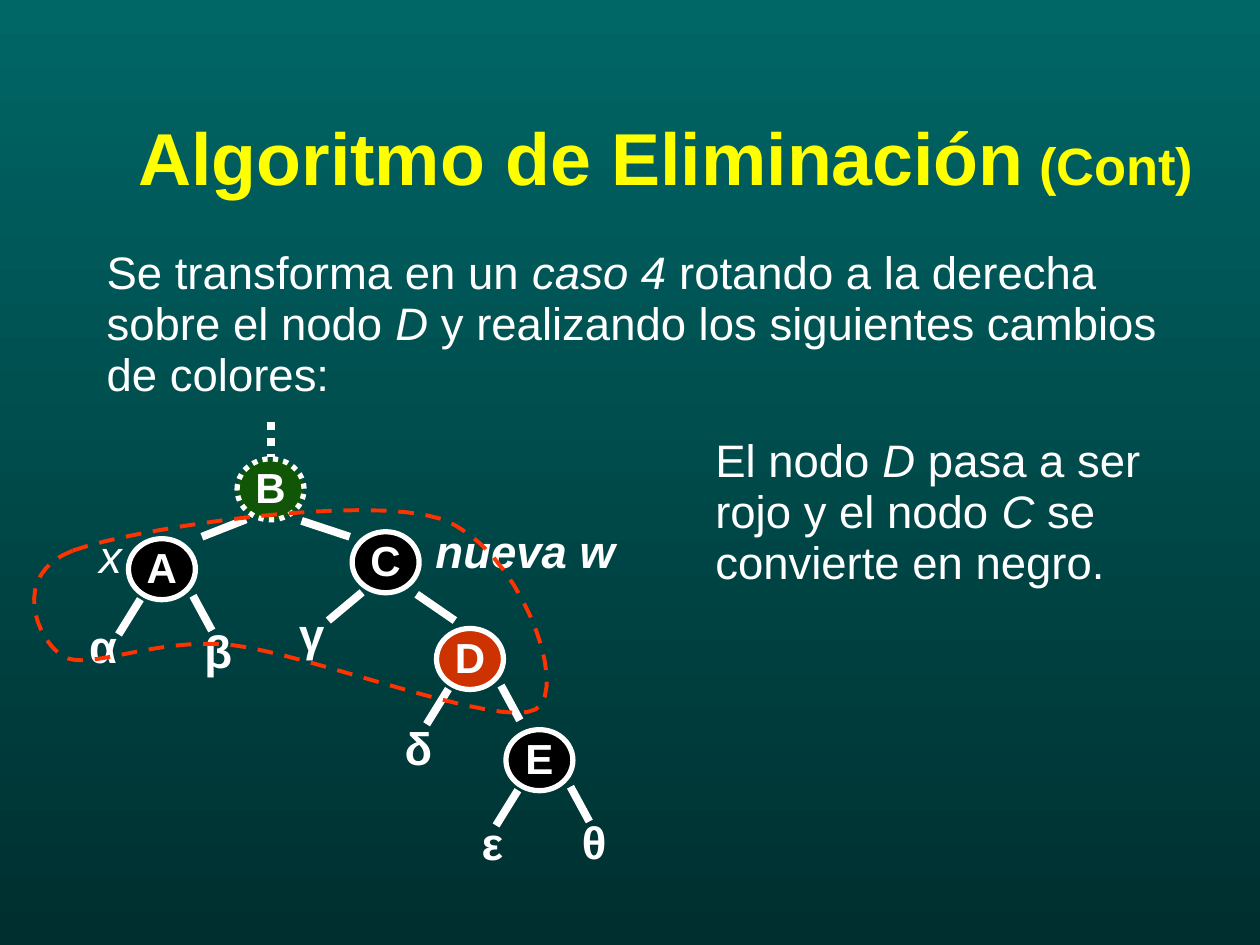
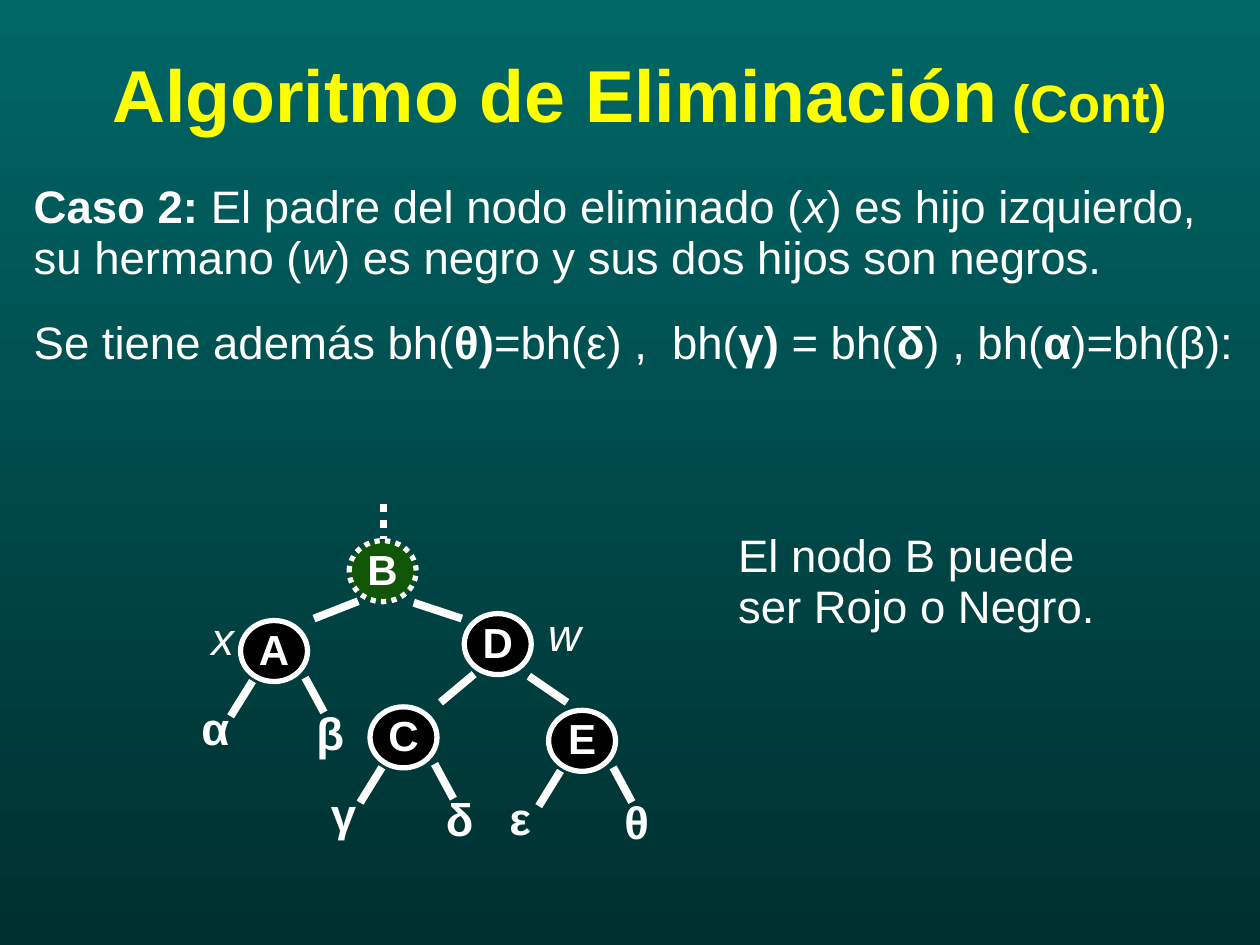
from dataclasses import dataclass

from lxml import etree
from pptx import Presentation
from pptx.dml.color import RGBColor
from pptx.enum import dml, shapes, text
from pptx.oxml.ns import qn
from pptx.util import Cm, Pt


@dataclass(frozen=True)
class Theme:
    font: str = "Arial"
    title: str = "FFFF00"
    ink: str = "FFFFFF"
    top: str = "006666"
    bottom: str = "002F2F"
    black: str = "000000"
    red: str = "CC3300"
    either: str = "115606"
    outline: str = "FF3300"
    title_size: int = 42
    suffix_size: int = 30
    body_size: int = 26
    node_size: int = 24


THEME = Theme()


@dataclass(frozen=True)
class Leaf:
    name: str
    nudge: tuple = (0, 0)


@dataclass(frozen=True)
class Node:
    name: str
    span: str
    left: object
    right: object
    fill: str = THEME.black


TITLE = [("Algoritmo de Eliminación", THEME.title_size), (" (Cont)", THEME.suffix_size)]

# Text runs are (text, style): "b" bold, "i" italic. Boxes are left, top, width, height in cm.
SLIDES = [
    dict(
        title_box=(2.54, 1.7, 22.23, 3.18), title_inset=0.25,
        body_box=(1.9, 4.9, 22.43, 3.33),
        body=[[("Se transforma en un ", ""), ("caso 4", "i"),
               (" rotando a la derecha sobre el nodo ", ""), ("D", "i"),
               (" y realizando los siguientes cambios de colores:", "")]],
        note_box=(14.17, 8.69, 9.1, 3.33), note_inset=0.25,
        note=[("El nodo ", ""), ("D", "i"), (" pasa a ser rojo y el nodo ", ""),
              ("C", "i"), (" se convierte en negro.", "")],
        root=(4.78, 9.25),
        tree=Node("B", "wide",
                  Node("A", "narrow", Leaf("α"), Leaf("β")),
                  Node("C", "medium", Leaf("γ"),
                       Node("D", "narrow", Leaf("δ", (0.15, 0.25)),
                            Node("E", "narrow", Leaf("ε", (0.3, 0.12)), Leaf("θ")),
                            THEME.red)),
                  THEME.either),
        labels=[("x", "i", 1.75, 10.62), ("nueva w", "bi", 8.53, 10.52)],
        # Start point, then cubic curves (control, control, end)
        region=[(1.47, 11.1),
                [(2.74, 10.64), (7.34, 9.96), (8.89, 10.46)],
                [(10.44, 11), (11.51, 13.87), (10.8, 14.3)],
                [(10.08, 14.71), (6.25, 13.18), (4.65, 13)],
                [(3.07, 12.85), (1.8, 13.54), (1.27, 13.23)],
                [(0.74, 12.9), (0.2, 11.58), (1.47, 11.1)]],
    ),
    dict(
        title_box=(2.26, 0.43, 22.07, 3.18), title_inset=0,
        body_box=(0.43, 3.56, 24.77, 4.01),
        body=[[("Caso 2:", "b"), (" El padre del nodo eliminado (", ""), ("x", "i"),
               (") es hijo izquierdo, su hermano (", ""), ("w", "i"),
               (") es negro y sus dos hijos son negros.", "")],
              [("Se tiene además bh(", ""), ("θ)", "b"), ("=bh(ε) ,  bh(", ""),
               ("γ)", "b"), (" = bh(", ""), ("δ", "b"), (") , bh(", ""),
               ("α", "b"), (")=bh(β):", "")]],
        note_box=(14.88, 10.72, 8.2, 2.06), note_inset=0,
        note=[("El nodo B puede ser Rojo o Negro.", "")],
        root=(7.04, 10.9),
        tree=Node("B", "wide",
                  Node("A", "narrow", Leaf("α"), Leaf("β")),
                  Node("D", "medium",
                       Node("C", "narrow", Leaf("γ"), Leaf("δ")),
                       Node("E", "narrow", Leaf("ε"), Leaf("θ"))),
                  THEME.either),
        labels=[("x", "i", 4.01, 12.27), ("w", "i", 10.8, 12.19)],
        region=None,
    ),
]

# Offsets in cm from a node's corner: branch start, branch end, child node, leaf label
BRANCHES = {
    "wide": [((0.18, 1.22), (-0.71, 1.57), (-2.19, 1.61), None),
             ((1.3, 1.25), (2.27, 1.57), (2.32, 1.47), None)],
    "medium": [((0.2, 1.22), (-0.48, 1.79), (-1.9, 1.88), (-1.32, 1.37)),
               ((1.3, 1.26), (2.07, 1.79), (1.7, 1.95), None)],
    "narrow": [((0.24, 1.22), (-0.2, 1.93), None, (-1.04, 1.48)),
               ((1.3, 1.15), (1.68, 1.85), (1.4, 2.04), (1.28, 1.57))],
}
ROOT_STEM = (0.69, -0.74), (0.69, -0.04)
NODE_SIZE = 1.35, 1.23
LABEL_HEIGHT = 1.3
CURVE_STEPS = 16


def shift(point, offset):
    return point[0] + offset[0], point[1] + offset[1]


def lengths(values):
    return [Cm(value) for value in values]


def rgb(code):
    return RGBColor.from_string(code)


def add_run(paragraph, words, size, style="", color=THEME.ink):
    run = paragraph.add_run()
    run.text = words
    font = run.font
    font.name, font.size = THEME.font, Pt(size)
    font.bold, font.italic = "b" in style, "i" in style
    font.color.rgb = rgb(color)


def prepare_frame(shape, inset=0.25, anchor=text.MSO_ANCHOR.TOP):
    frame = shape.text_frame
    frame.word_wrap = True
    frame.auto_size = text.MSO_AUTO_SIZE.NONE
    frame.vertical_anchor = anchor
    frame.margin_left = frame.margin_right = Cm(inset)
    frame.margin_top = frame.margin_bottom = Cm(inset / 2)
    return frame


def place(shape, box):
    shape.left, shape.top, shape.width, shape.height = lengths(box)


def format_paragraph(paragraph, spacing, before=0, align=text.PP_ALIGN.LEFT):
    paragraph.alignment = align
    paragraph.line_spacing = spacing
    paragraph.space_before = Pt(before)


def add_label(parent, words, style, box, spacing, inset=0.25):
    label = parent.add_textbox(*lengths(box))
    paragraph = prepare_frame(label, inset).paragraphs[0]
    format_paragraph(paragraph, spacing)
    for part, part_style in ([(words, style)] if isinstance(words, str) else words):
        add_run(paragraph, part, THEME.body_size, part_style)


def draw_outline(line, color, width, dash=None):
    line.color.rgb = rgb(color)
    line.width = Pt(width)
    if dash:
        line.dash_style = dash


def add_branch(parent, start, end, dash=None):
    branch = parent.add_connector(shapes.MSO_CONNECTOR.STRAIGHT, *lengths(start + end))
    draw_outline(branch.line, THEME.ink, 4.5, dash)
    etree.SubElement(branch._element.spPr, qn("a:effectLst"))


def add_node(parent, node, corner):
    circle = parent.add_shape(shapes.MSO_SHAPE.OVAL, *lengths(corner + NODE_SIZE))
    circle.shadow.inherit = False
    circle.fill.solid()
    circle.fill.fore_color.rgb = rgb(node.fill)
    dash = dml.MSO_LINE.ROUND_DOT if node.fill == THEME.either else None
    draw_outline(circle.line, THEME.ink, 3, dash)
    frame = prepare_frame(circle, 0, text.MSO_ANCHOR.MIDDLE)
    frame.word_wrap = False
    format_paragraph(frame.paragraphs[0], 0.93, align=text.PP_ALIGN.CENTER)
    add_run(frame.paragraphs[0], node.name, THEME.node_size, "b")


def add_tree(parent, node, corner):
    """Draw a node, its two branches and whatever hangs from them."""
    for child, branch in zip((node.left, node.right), BRANCHES[node.span]):
        start, end, child_offset, leaf_offset = branch
        add_branch(parent, shift(corner, start), shift(corner, end))
        if isinstance(child, Node):
            add_tree(parent, child, shift(corner, child_offset))
        else:
            spot = shift(shift(corner, leaf_offset), child.nudge)
            add_label(parent, child.name, "b", spot + (1.1, LABEL_HEIGHT), 1.0)
    add_node(parent, node, corner)


def curve_points(start, curve):
    """Points along one cubic curve, without its start."""
    for step in range(1, CURVE_STEPS + 1):
        t = step / CURVE_STEPS
        weights = (1 - t) ** 3, 3 * t * (1 - t) ** 2, 3 * t ** 2 * (1 - t), t ** 3
        yield tuple(int(Cm(sum(w * point[axis] for w, point in zip(weights, [start] + curve))))
                    for axis in (0, 1))


def add_region(parent, region):
    start, *curves = region
    builder = parent.build_freeform(*lengths(start))
    for curve in curves:
        builder.add_line_segments(list(curve_points(start, curve)), close=False)
        start = curve[-1]
    outline = builder.convert_to_shape()
    outline.shadow.inherit = False
    outline.fill.background()
    draw_outline(outline.line, THEME.outline, 2.25, dml.MSO_LINE.DASH)


def add_title(slide, box, inset):
    title = slide.shapes.title
    place(title, box)
    paragraph = prepare_frame(title, inset, text.MSO_ANCHOR.MIDDLE).paragraphs[0]
    format_paragraph(paragraph, 0.85)
    for words, size in TITLE:
        add_run(paragraph, words, size, "b", THEME.title)


def add_body(slide, box, paragraphs):
    body = slide.placeholders[1]
    place(body, box)
    frame = prepare_frame(body)
    for index, runs in enumerate(paragraphs):
        paragraph = frame.add_paragraph() if index else frame.paragraphs[0]
        properties = paragraph._p.get_or_add_pPr()
        properties.set("marL", "0")
        properties.set("indent", "0")
        etree.SubElement(properties, qn("a:buNone"))
        format_paragraph(paragraph, 0.93, 19.5 if index else 0)
        for words, style in runs:
            add_run(paragraph, words, THEME.body_size, style)


def paint_background(master):
    fill = master.background.fill
    fill.gradient()
    fill.gradient_angle = 270
    for stop, color in zip(fill.gradient_stops, (THEME.top, THEME.bottom)):
        stop.color.rgb = rgb(color)


def add_slide(presentation, content):
    slide = presentation.slides.add_slide(presentation.slide_layouts[1])
    add_title(slide, content["title_box"], content["title_inset"])
    add_body(slide, content["body_box"], content["body"])
    add_label(slide.shapes, content["note"], "", content["note_box"], 0.93,
              content["note_inset"])
    diagram = slide.shapes.add_group_shape().shapes
    root = content["root"]
    stem_start, stem_end = (shift(root, offset) for offset in ROOT_STEM)
    add_branch(diagram, stem_start, stem_end, dml.MSO_LINE.ROUND_DOT)
    add_tree(diagram, content["tree"], root)
    for words, style, left, top in content["labels"]:
        width = 0.9 + 0.55 * len(words)
        add_label(diagram, words, style, (left, top, width, LABEL_HEIGHT), 0.93)
    if content["region"]:
        add_region(diagram, content["region"])


def main():
    presentation = Presentation()
    presentation.slide_width, presentation.slide_height = Cm(25.4), Cm(19.05)
    paint_background(presentation.slide_master)
    for content in SLIDES:
        add_slide(presentation, content)
    presentation.save("out.pptx")


if __name__ == "__main__":
    main()
